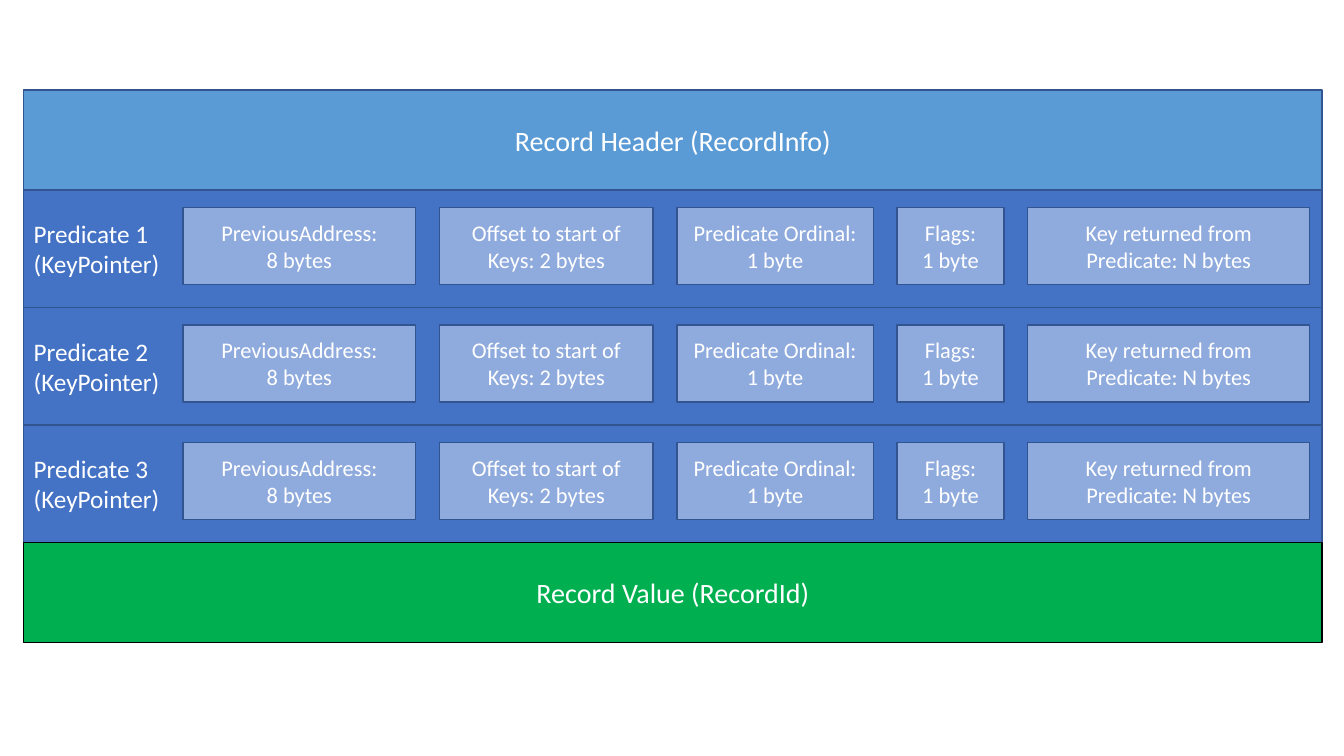
"""Build a slide showing the layout of a record with three predicate key pointers."""
from pptx import Presentation
from pptx.dml.color import RGBColor
from pptx.enum.shapes import MSO_SHAPE
from pptx.enum.text import MSO_ANCHOR, PP_ALIGN
from pptx.util import Cm, Pt

HEADER = "Record Header (RecordInfo)"
VALUE = "Record Value (RecordId)"
PREDICATES = [f"Predicate {number}\n(KeyPointer)" for number in (1, 2, 3)]
FIELDS = [
    ("PreviousAddress:\n8 bytes", 5.87),
    ("Offset to start of Keys: 2 bytes", 5.38),
    ("Predicate Ordinal: 1 byte", 4.95),
    ("Flags:\n1 byte", 2.69),
    ("Key returned from Predicate: N bytes", 7.11),
]
COLORS = {
    "header": "5B9BD5",
    "predicate": "4472C4",
    "field": "8FAADC",
    "value": "00B050",
    "border": "325491",
    "value_border": "000000",
    "text": "FFFFFF",
}
LEFT, TOP, WIDTH = 0.6, 2.27, 32.72
BAND_HEIGHT, ROW_HEIGHT = 2.52, 2.96
FIELD_LEFT, FIELD_INSET, FIELD_HEIGHT, FIELD_GAP = 4.61, 0.44, 1.94, 0.6


def color(name):
    return RGBColor.from_string(COLORS[name])


def add_box(slide, text, left, top, width, height, fill, size,
            border="border", align=PP_ALIGN.CENTER):
    box = slide.shapes.add_shape(
        MSO_SHAPE.RECTANGLE, Cm(left), Cm(top), Cm(width), Cm(height))
    box.shadow.inherit = False
    box.fill.solid()
    box.fill.fore_color.rgb = color(fill)
    box.line.color.rgb = color(border)
    box.line.width = Pt(1)
    frame = box.text_frame
    frame.word_wrap = True
    frame.vertical_anchor = MSO_ANCHOR.MIDDLE
    paragraph = frame.paragraphs[0]
    paragraph.text = text
    paragraph.alignment = align
    for run in paragraph.runs:
        run.font.name = "Calibri"
        run.font.size = Pt(size)
        run.font.color.rgb = color("text")


prs = Presentation()
prs.slide_width, prs.slide_height = Cm(33.87), Cm(19.05)
slide = prs.slides.add_slide(prs.slide_layouts[6])

add_box(slide, HEADER, LEFT, TOP, WIDTH, BAND_HEIGHT, "header", 20)

row_top = TOP + BAND_HEIGHT
for predicate in PREDICATES:
    add_box(slide, predicate, LEFT, row_top, WIDTH, ROW_HEIGHT,
            "predicate", 18, align=PP_ALIGN.LEFT)
    field_left = FIELD_LEFT
    for field, field_width in FIELDS:
        add_box(slide, field, field_left, row_top + FIELD_INSET,
                field_width, FIELD_HEIGHT, "field", 16)
        field_left += field_width + FIELD_GAP
    row_top += ROW_HEIGHT

add_box(slide, VALUE, LEFT, row_top, WIDTH, BAND_HEIGHT, "value", 20,
        border="value_border")

prs.save("out.pptx")
